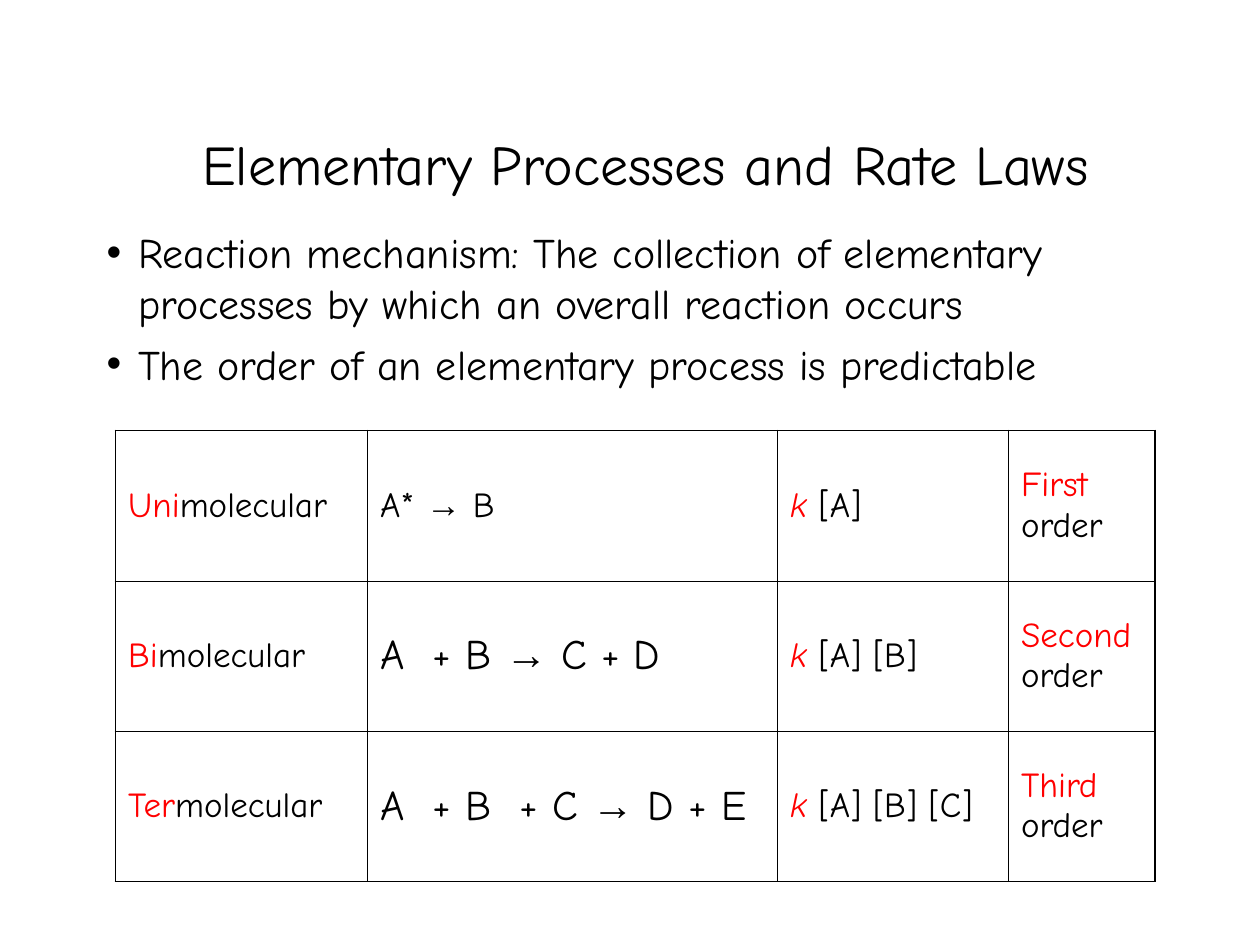
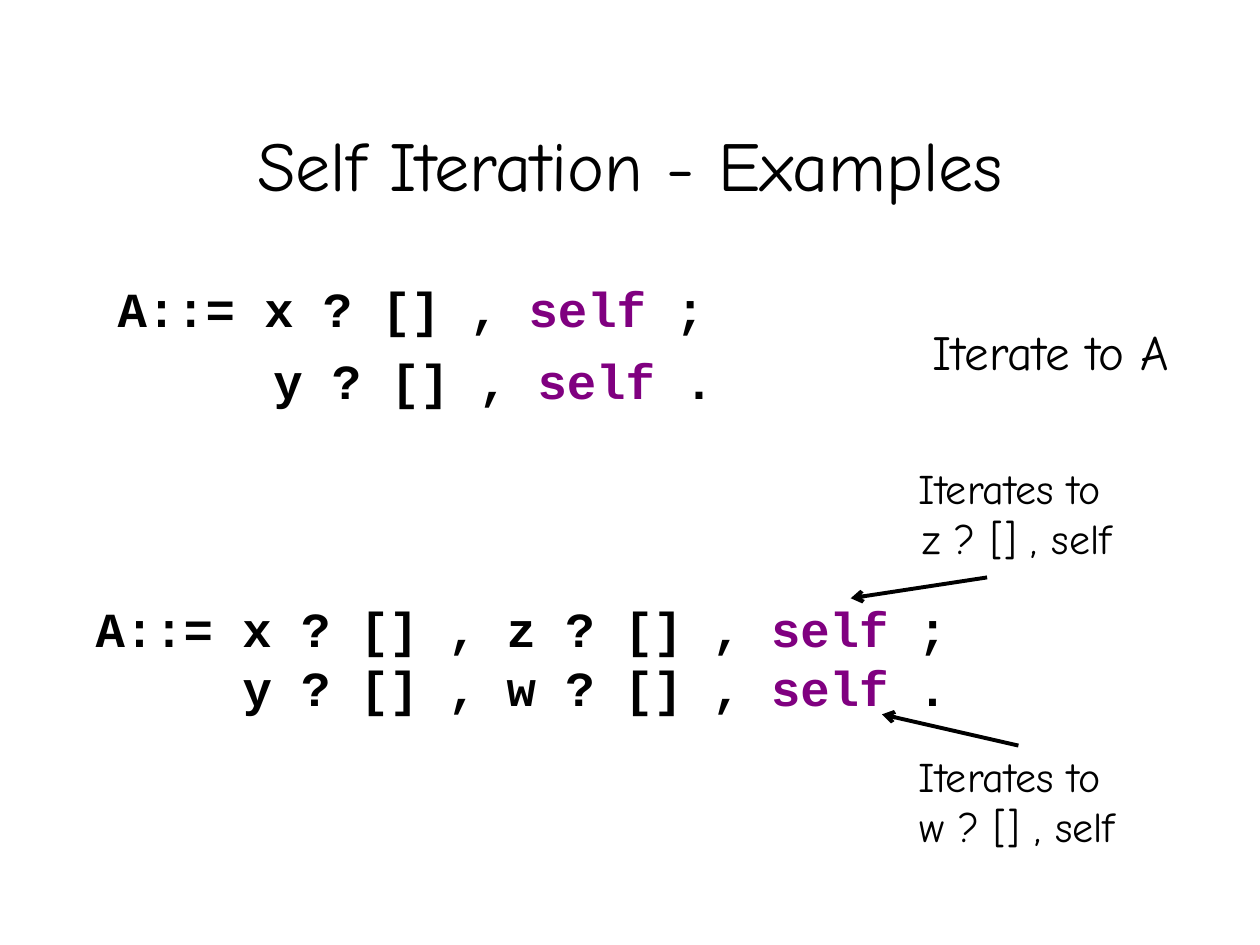
from pptx import Presentation
from pptx.dml.color import RGBColor
from pptx.enum.shapes import MSO_CONNECTOR as Link
from pptx.enum.text import MSO_ANCHOR as Anchor, PP_ALIGN as Align
from pptx.oxml.ns import qn
from pptx.util import Cm, Pt
from lxml.etree import SubElement

BLACK, WHITE, RED, PURPLE = "000000", "FFFFFF", "FF0000", "800080"
COMIC, ARIAL, MONO = "Comic Neue", "Arial", "Courier New"
THICK, THIN = 1.08, 0.45
BULLET = 0.635


def paint(text):
    return RGBColor.from_string(text)


def fill_par(par, runs, **base):
    """Write runs, each a string or a (string, format) pair, over a base format."""
    for part in runs:
        words, extra = (part, {}) if isinstance(part, str) else part
        run = par.add_run()
        run.text = words
        look = {"name": COMIC, "color": BLACK, **base, **extra}
        run.font.color.rgb = paint(look.pop("color"))
        for key, value in look.items():
            setattr(run.font, key, value)


def add_text(slide, box, lines, align=Align.LEFT, anchor=Anchor.TOP,
             spaces=(0, 0), wrap=True, **base):
    """Add one paragraph per line; spaces are before the first and later ones."""
    frame = slide.shapes.add_textbox(*map(Cm, box)).text_frame
    frame.word_wrap = wrap
    frame.vertical_anchor = anchor
    for row, runs in enumerate(lines):
        par = frame.add_paragraph() if row else frame.paragraphs[0]
        par.alignment = align
        par.space_before = Pt(spaces[min(row, 1)])
        fill_par(par, runs, **base)
    return frame.paragraphs


def indent(par, left, hang=0):
    props = par._p.get_or_add_pPr()
    props.set("marL", str(Cm(left)))
    props.set("indent", str(-Cm(hang)))
    return props


def add_title(slide, words, left, width, size):
    add_text(slide, (left, 1.7, width, 3.18), [[words]], Align.CENTER,
             Anchor.MIDDLE, size=Pt(size))


def add_points(slide, box, points):
    pars = add_text(slide, box, [[point] for point in points],
                    spaces=(0, 6), size=Pt(24))
    for par in pars:
        props = indent(par, BULLET, BULLET)
        SubElement(props, qn("a:buFont"), typeface=ARIAL)
        SubElement(props, qn("a:buChar"), char="•")


def edge(cell, side, width):
    line = SubElement(cell._tc.get_or_add_tcPr(), qn(f"a:ln{side}"),
                      w=str(Pt(width)))
    SubElement(SubElement(line, qn("a:solidFill")), qn("a:srgbClr"), val=BLACK)


def add_grid(slide, left, top, cols, rows, data):
    grid = slide.shapes.add_table(len(rows), len(cols), Cm(left), Cm(top),
                                  Cm(sum(cols)), Cm(sum(rows))).table
    grid.first_row = grid.horz_banding = False
    for col, width in zip(grid.columns, cols):
        col.width = Cm(width)
    for row, height in zip(grid.rows, rows):
        row.height = Cm(height)
    for y, line in enumerate(data):
        for x, (size, runs) in enumerate(line):
            cell = grid.cell(y, x)
            outer = {"L": x == 0, "R": x == len(cols) - 1,
                     "T": y == 0, "B": y == len(rows) - 1}
            for side, is_outer in outer.items():
                edge(cell, side, THICK if is_outer else THIN)
            cell.fill.solid()
            cell.fill.fore_color.rgb = paint(WHITE)
            cell.vertical_anchor = Anchor.MIDDLE
            par = cell.text_frame.paragraphs[0]
            par.space_before = Pt(size / 4)
            fill_par(par, runs, size=Pt(size))


def law(prefix, size, before, after, rate, order):
    """Return the four cells of one kind of elementary process."""
    red = {"color": RED}
    return [(20, [(prefix, red), "molecular"]),
            (size, [before, ("→", {"name": ARIAL}), after]),
            (20, [("k", {"color": RED, "italic": True}), rate]),
            (20, [(order, red), " order"])]


def add_code(slide, box, lines, shift, gap):
    """Show two grammar lines that end in self, the second one shifted right."""
    runs = [[start, ("self", {"color": PURPLE}), end] for start, end in lines]
    pars = add_text(slide, box, runs, spaces=(7, gap), name=MONO,
                    size=Pt(28), bold=True)
    indent(pars[1], shift)


def add_note(slide, top, name, space=0):
    add_text(slide, (16, top, 9, 1.6), [["Iterates to "], [f"{name} ? [] , self"]],
             Align.CENTER, spaces=(space, 0), size=Pt(24))


def add_arrow(slide, start, end):
    link = slide.shapes.add_connector(Link.STRAIGHT, *map(Cm, start + end))
    link.line.color.rgb = paint(BLACK)
    link.line.width = Pt(2.25)
    SubElement(link.line._get_or_add_ln(), qn("a:tailEnd"), type="arrow")
    SubElement(link._element.spPr, qn("a:effectLst"))


def rate_slide(slide):
    add_title(slide, "Elementary Processes and Rate Laws", 1.27, 23.5, 32)
    add_points(slide, (1.9, 4.45, 21.6, 11.43), [
        "Reaction mechanism: The collection of elementary processes "
        "by which an overall reaction occurs",
        "The order of an elementary process is predictable"])
    add_grid(slide, 2.33, 8.68, (5.08, 8.26, 4.66, 2.96), (3.03,) * 3, [
        law("Uni", 20, "A* ", " B", " [A]", "First"),
        law("Bi", 24, "A  + B ", " C + D", " [A] [B]", "Second"),
        law("Ter", 24, "A  + B  + C ", " D + E", " [A] [B] [C]", "Third")])


def self_slide(slide):
    add_title(slide, "Self Iteration - Examples", 1.9, 21.6, 40)
    add_code(slide, (2.12, 5.5, 21.6, 3.4),
             [("A::= x ? [] , ", " ;"), ("y ? [] , ", " .")], 3.14, 7)
    add_text(slide, (18.5, 6.35, 5.38, 1.45), [["Iterate to A"]], Align.CENTER,
             spaces=(7, 0), wrap=False, size=Pt(28))
    add_code(slide, (1.68, 11.94, 18, 2.64),
             [("A::= x ? [] , z ? [] , ", " ;"),
              ("y ? [] , w ? [] , ", " .")], 2.96, 0)
    add_note(slide, 9.2, "z")
    add_note(slide, 15, "w", 6)
    add_arrow(slide, (20.53, 15.03), (17.78, 14.4))
    add_arrow(slide, (19.9, 11.64), (17.15, 12.06))


def main():
    deck = Presentation()
    deck.slide_width, deck.slide_height = Cm(25.4), Cm(19.05)
    for build in (rate_slide, self_slide):
        build(deck.slides.add_slide(deck.slide_layouts[6]))
    deck.save("out.pptx")


if __name__ == "__main__":
    main()
